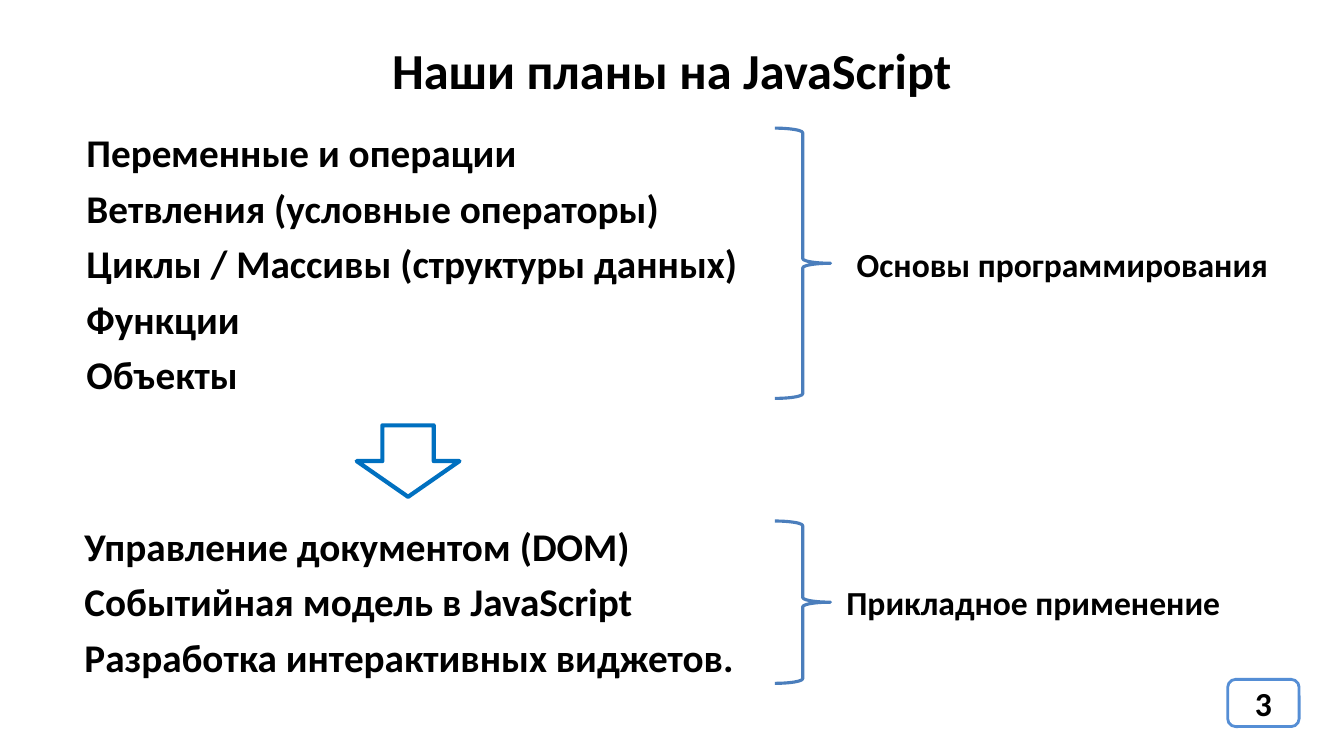
import pptx
import pptx.util
import pptx.dml.color
import pptx.enum.shapes
import pptx.enum.text

Cm = pptx.util.Cm
Pt = pptx.util.Pt
RGBColor = pptx.dml.color.RGBColor
MSO_SHAPE = pptx.enum.shapes.MSO_SHAPE
MSO_ANCHOR = pptx.enum.text.MSO_ANCHOR
PP_ALIGN = pptx.enum.text.PP_ALIGN

BLACK = RGBColor(0x00, 0x00, 0x00)
WHITE = RGBColor(0xFF, 0xFF, 0xFF)
BRACE_BLUE = RGBColor(0x4B, 0x7E, 0xBC)
ARROW_BLUE = RGBColor(0x00, 0x70, 0xC0)
BADGE_BLUE = RGBColor(0x55, 0x8E, 0xD5)

FONT = "Calibri"
SLIDE_W = 33.87
BRACE_X, BRACE_W = 19.53, 1.4

BASICS = [
    "Переменные и операции",
    "Ветвления (условные операторы)",
    "Циклы / Массивы (структуры данных)",
    "Функции",
    "Объекты",
]
PRACTICE = [
    "Управление документом (DOM)",
    "Событийная модель в JavaScript",
    "Разработка интерактивных виджетов.",
]


def write(tf, lines, size, align=PP_ALIGN.LEFT, before=0):
    for i, line in enumerate(lines):
        p = tf.add_paragraph() if i else tf.paragraphs[0]
        p.alignment = align
        p.space_before = Pt(before)
        r = p.add_run()
        r.text = line
        r.font.name = FONT
        r.font.size = Pt(size)
        r.font.bold = True
        r.font.color.rgb = BLACK


def add_text(s, box, lines, size, wrap=False, anchor=MSO_ANCHOR.TOP, **style):
    tf = s.shapes.add_textbox(*map(Cm, box)).text_frame
    tf.word_wrap = wrap
    tf.vertical_anchor = anchor
    write(tf, lines, size, **style)


def add_outline(s, kind, box, color, width, fill=None):
    sp = s.shapes.add_shape(kind, *map(Cm, box))
    sp.shadow.inherit = False
    sp.line.color.rgb = color
    sp.line.width = Pt(width)
    if fill is None:
        sp.fill.background()
    else:
        sp.fill.solid()
        sp.fill.fore_color.rgb = fill
    return sp


def add_topic_group(s, topics_box, topics, brace_y, brace_h, label_box, label):
    add_text(s, topics_box, topics, 28, before=6)
    brace_box = (BRACE_X, brace_y, BRACE_W, brace_h)
    add_outline(s, MSO_SHAPE.RIGHT_BRACE, brace_box, BRACE_BLUE, 2.25)
    add_text(s, label_box, [label], 24)


def add_page_number(s, number):
    badge = add_outline(s, MSO_SHAPE.ROUNDED_RECTANGLE,
                        (30.94, 17.12, 1.8, 1.19), BADGE_BLUE, 2, WHITE)
    badge.text_frame.vertical_anchor = MSO_ANCHOR.MIDDLE
    write(badge.text_frame, [number], 24, PP_ALIGN.CENTER)


def main():
    prs = pptx.Presentation()
    prs.slide_width, prs.slide_height = Cm(SLIDE_W), Cm(19.05)
    s = prs.slides.add_slide(prs.slide_layouts[6])

    add_text(s, (0, 0.74, SLIDE_W, 2.01), ["Наши планы на JavaScript"], 36,
             wrap=True, anchor=MSO_ANCHOR.MIDDLE, align=PP_ALIGN.CENTER)
    add_topic_group(s, (1.93, 3.12, 17.09, 7.09), BASICS, 3.23, 6.81,
                    (21.34, 6.02, 11, 1.27), "Основы программирования")
    add_outline(s, MSO_SHAPE.DOWN_ARROW, (8.99, 10.72, 2.59, 1.8),
                ARROW_BLUE, 3)
    add_topic_group(s, (1.88, 13.03, 17.15, 4.27), PRACTICE, 13.13, 4.09,
                    (21.08, 14.53, 10.03, 1.27), "Прикладное применение")
    add_page_number(s, "3")

    prs.save("out.pptx")


main()
